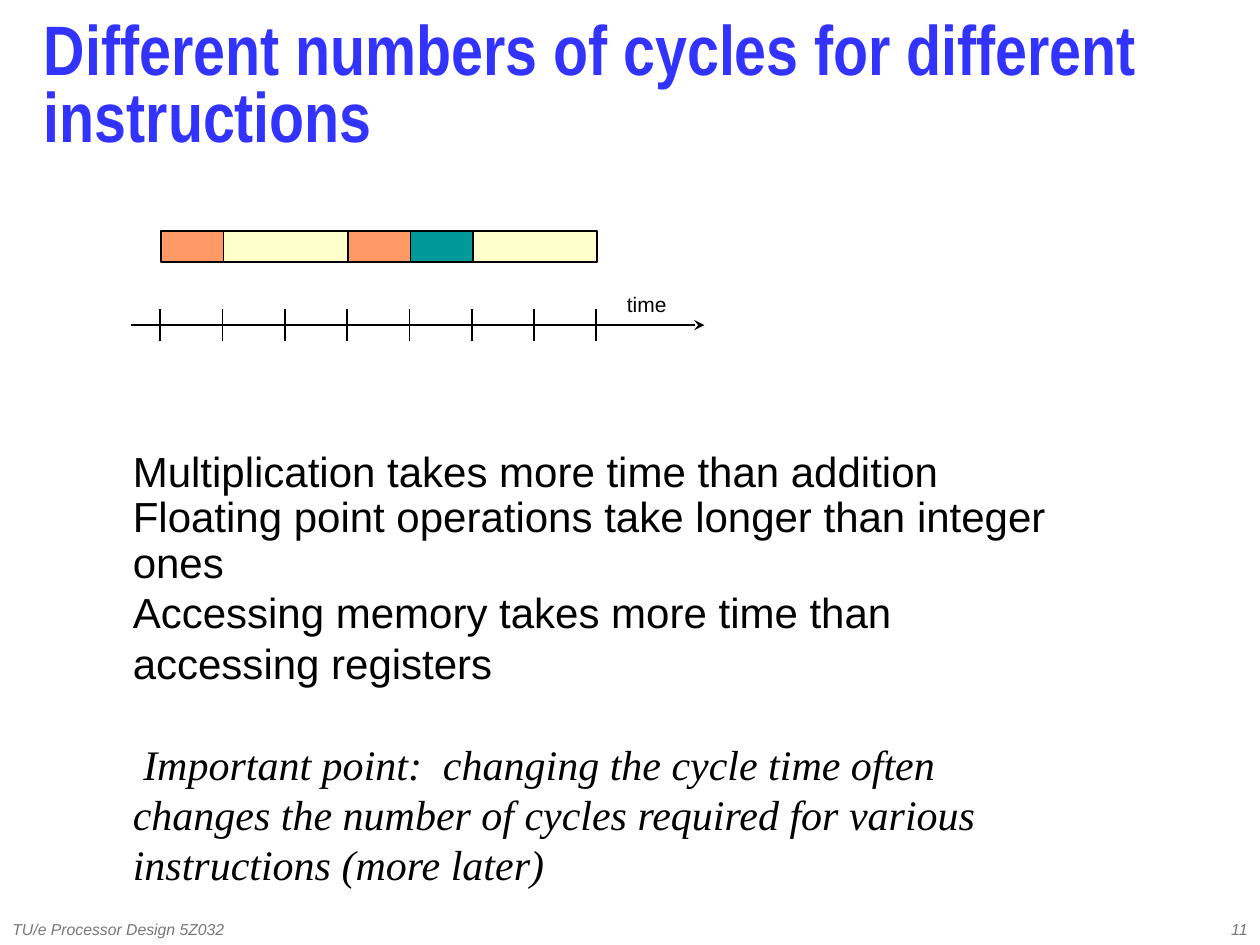
from dataclasses import dataclass

import pptx
import pptx.dml.color
import pptx.enum.shapes
import pptx.enum.text
import pptx.oxml.ns
import pptx.util
from lxml import etree

Pt = pptx.util.Pt
Align = pptx.enum.text.PP_ALIGN
Anchor = pptx.enum.text.MSO_ANCHOR


@dataclass
class Block:
    start: int
    cycles: int
    fill: str


@dataclass
class Para:
    text: str
    pitch: float = 28.8
    before: float = 0
    font: str = "Arial"
    italic: bool = False


STEP = 35.6
FIRST = 91.6
AXIS = 185.8
TICKS = 8

BLOCKS = [
    Block(0, 1, "FF9966"),
    Block(1, 2, "FFFFCC"),
    Block(3, 1, "FF9966"),
    Block(4, 1, "009999"),
    Block(5, 2, "FFFFCC"),
]

POINTS = [
    Para("Multiplication takes more time than addition"),
    Para("Floating point operations take longer than integer ones", pitch=26),
    Para("Accessing memory takes more time than accessing registers"),
    Para(" Important point:  changing the cycle time often changes the number "
         "of cycles required for various instructions (more later)",
         before=28.8, font="Times New Roman", italic=True),
]


def color(code: str) -> pptx.dml.color.RGBColor:
    return pptx.dml.color.RGBColor.from_string(code)


def add_box(slide, left: float, top: float, width: float, height: float,
            anchor=Anchor.TOP, side: float = 7.2, edge: float = 3.6):
    """Add an empty wrapping text box and return its text frame."""
    box = slide.shapes.add_textbox(Pt(left), Pt(top), Pt(width), Pt(height))
    frame = box.text_frame
    frame.word_wrap = True
    frame.vertical_anchor = anchor
    frame.margin_left = frame.margin_right = Pt(side)
    frame.margin_top = frame.margin_bottom = Pt(edge)
    return frame


def write(para, text: str, *, size: float, font: str = "Arial",
          ink: str = "000000", bold: bool = False, italic: bool = False,
          align=Align.LEFT, pitch=None, before: float = 0) -> None:
    run = para.add_run()
    run.text = text
    run.font.size = Pt(size)
    run.font.name = font
    run.font.bold = bold
    run.font.italic = italic
    run.font.color.rgb = color(ink)
    para.alignment = align
    para.line_spacing = pitch
    para.space_before = Pt(before)


def draw_block(slide, block: Block) -> None:
    shape = slide.shapes.add_shape(
        pptx.enum.shapes.MSO_SHAPE.RECTANGLE,
        Pt(FIRST + 0.6 + block.start * STEP), Pt(131.8),
        Pt(block.cycles * STEP), Pt(18))
    shape.shadow.inherit = False
    shape.fill.solid()
    shape.fill.fore_color.rgb = color(block.fill)
    shape.line.color.rgb = color("000000")
    shape.line.width = Pt(1)


def draw_line(slide, x1: float, y1: float, x2: float, y2: float,
              arrow: bool = False) -> None:
    line = slide.shapes.add_connector(
        pptx.enum.shapes.MSO_CONNECTOR.STRAIGHT,
        Pt(x1), Pt(y1), Pt(x2), Pt(y2))
    line.line.color.rgb = color("000000")
    line.line.width = Pt(1)
    qn = pptx.oxml.ns.qn
    props = line._element.spPr
    if arrow:
        etree.SubElement(props.find(qn("a:ln")), qn("a:tailEnd"), type="stealth")
    etree.SubElement(props, qn("a:effectLst"))


def main() -> None:
    deck = pptx.Presentation()
    deck.slide_width, deck.slide_height = Pt(720), Pt(540)
    slide = deck.slides.add_slide(deck.slide_layouts[6])

    title = add_box(slide, 18, 18, 660, 66, anchor=Anchor.MIDDLE)
    write(title.paragraphs[0],
          "Different numbers of cycles for different instructions",
          size=40, font="Arial Narrow", ink="3333FF", bold=True, pitch=0.8)

    for block in BLOCKS:
        draw_block(slide, block)

    draw_line(slide, 75, AXIS, 402.5, AXIS, arrow=True)
    for i in range(TICKS):
        x = FIRST + i * STEP
        draw_line(slide, x, AXIS + 9.3, x, AXIS - 9.3)
    label = add_box(slide, 356.4, 165, 55.4, 23.8, side=1.8, edge=2)
    write(label.paragraphs[0], "time", size=12, pitch=Pt(14))

    body = add_box(slide, 68.8, 251, 555.4, 265)
    for i, point in enumerate(POINTS):
        para = body.add_paragraph() if i else body.paragraphs[0]
        write(para, point.text, size=24, font=point.font, italic=point.italic,
              pitch=Pt(point.pitch), before=point.before)

    for left, width, text, align in [
        (0, 228, "TU/e Processor Design 5Z032", Align.LEFT),
        (570, 150, "11", Align.RIGHT),
    ]:
        foot = add_box(slide, left, 522, width, 18, anchor=Anchor.MIDDLE)
        write(foot.paragraphs[0], text, size=9, ink="777777", italic=True,
              align=align)

    deck.save("out.pptx")


if __name__ == "__main__":
    main()
